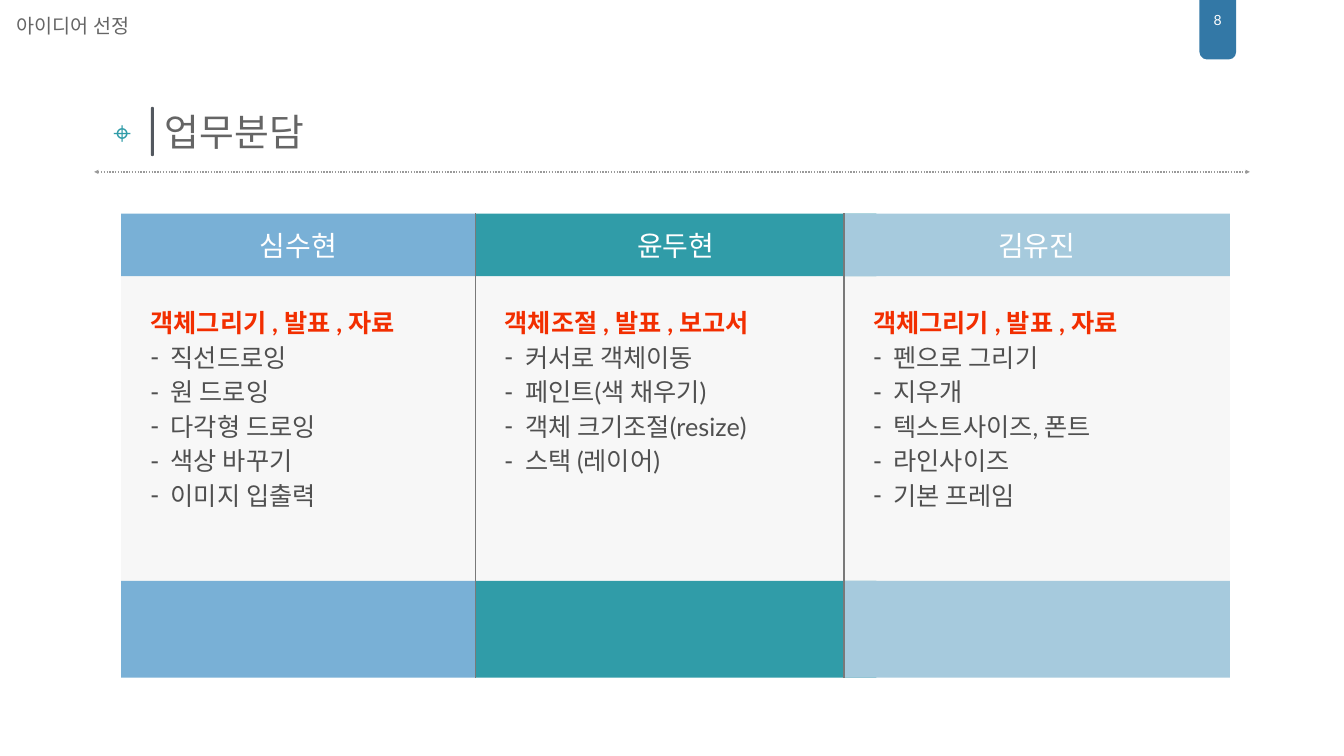
"""Build the task-sharing slide with three member columns."""
import lxml.etree
import pptx
import pptx.dml.color
import pptx.enum.dml
import pptx.enum.shapes
import pptx.enum.text
import pptx.oxml.ns
import pptx.util

Pt = pptx.util.Pt
ALIGN = pptx.enum.text.PP_ALIGN
ANCHOR = pptx.enum.text.MSO_ANCHOR
SHAPE = pptx.enum.shapes.MSO_SHAPE
COLORS = {
    "white": "FFFFFF", "tab": "3378A6", "panel": "F7F7F7", "blue": "79B0D6",
    "teal": "309CA8", "pale": "A6CADD", "duty": "F22E00", "task": "505050",
    "title": "656565", "divider": "797979", "rule": "9A9A9A", "bar": "53585F",
}
BAND_TOP, BAND_HEIGHT = 305, 89.5
FOOTER_TOP, FOOTER_HEIGHT = 830, 138
PANEL_TOP, PANEL_HEIGHT = 307.5, 602
MEMBERS = [
    ("심수현", 173, 506, "blue", "객체그리기 , 발표 , 자료",
     ["직선드로잉", "원 드로잉", "다각형 드로잉", "색상 바꾸기", "이미지 입출력"]),
    ("윤두현", 679, 573, "teal", "객체조절 , 발표 , 보고서",
     ["커서로 객체이동", "페인트(색 채우기)", "객체 크기조절(resize)", "스택 (레이어)"]),
    ("김유진", 1205.5, 551.5, "pale", "객체그리기 , 발표 , 자료",
     ["펜으로 그리기", "지우개", "텍스트사이즈, 폰트", "라인사이즈", "기본 프레임"]),
]


class SlideBuilder:
    """Hold the style and the slide being filled."""

    def __init__(self, slide, font="Lato"):
        self.slide = slide
        self.font = font

    def color(self, name):
        """Return the named colour."""
        return pptx.dml.color.RGBColor.from_string(COLORS[name])

    def place(self, shape, left, top, width, height):
        """Move and size a shape."""
        shape.left, shape.top = Pt(left), Pt(top)
        shape.width, shape.height = Pt(width), Pt(height)

    def format(self, paragraph, size, color, align=ALIGN.LEFT, bold=False, font=None):
        """Format a paragraph and its runs."""
        paragraph.alignment = align
        for run in paragraph.runs:
            run.font.name = font or self.font
            run.font.size = Pt(size)
            run.font.bold = bold
            run.font.color.rgb = self.color(color)

    def frame(self, shape, anchor, left=0, top=0):
        """Set the insets, wrapping and anchor of a text frame."""
        text_frame = shape.text_frame
        text_frame.auto_size = pptx.enum.text.MSO_AUTO_SIZE.NONE
        text_frame.word_wrap = True
        text_frame.vertical_anchor = anchor
        text_frame.margin_left, text_frame.margin_top = Pt(left), Pt(top)
        text_frame.margin_right = text_frame.margin_bottom = 0
        return text_frame

    def bullet(self, paragraph, char=None, indent=0):
        """Give a paragraph a bullet character, or none."""
        properties = paragraph._p.get_or_add_pPr()
        properties.set("marL", str(Pt(indent)))
        properties.set("indent", str(-Pt(indent)))
        tag = pptx.oxml.ns.qn("a:buChar" if char else "a:buNone")
        mark = lxml.etree.SubElement(properties, tag)
        if char:
            mark.set("char", char)

    def heading(self, index, text, box, size):
        """Fill a placeholder with a single line."""
        holder = self.slide.placeholders[index]
        self.place(holder, *box)
        text_frame = self.frame(holder, ANCHOR.MIDDLE)
        text_frame.text = text
        line = text_frame.paragraphs[0]
        line.space_before = Pt(0)
        self.bullet(line)
        self.format(line, size, "title")

    def duties(self, index, box, duty, tasks):
        """Fill a placeholder with a duty line and its dashed tasks."""
        holder = self.slide.placeholders[index]
        self.place(holder, *box)
        holder.fill.solid()
        holder.fill.fore_color.rgb = self.color("panel")
        text_frame = self.frame(holder, ANCHOR.TOP, left=42, top=132)
        text_frame.text = "\n".join([duty, *tasks])
        lead, *items = text_frame.paragraphs
        lead.space_before = Pt(0)
        self.bullet(lead)
        self.format(lead, 36, "duty", bold=True)
        for item in items:
            item.space_before = Pt(6)
            self.bullet(item, "-", 29)
            self.format(item, 36, "task")

    def block(self, kind, box, fill, text="", corner=None):
        """Add a filled shape, with centred text if given."""
        shape = self.slide.shapes.add_shape(kind, *map(Pt, box))
        shape.shadow.inherit = False
        shape.fill.solid()
        shape.fill.fore_color.rgb = self.color(fill)
        shape.line.fill.background()
        if corner is not None:
            shape.adjustments[0] = corner
        if text:
            text_frame = self.frame(shape, ANCHOR.MIDDLE)
            text_frame.text = text
            self.format(text_frame.paragraphs[0], 40, "white", ALIGN.CENTER)

    def label(self, text, box, size, color, font=None):
        """Add a centred text box."""
        text_frame = self.frame(self.slide.shapes.add_textbox(*map(Pt, box)), ANCHOR.MIDDLE)
        text_frame.text = text
        self.format(text_frame.paragraphs[0], size, color, ALIGN.CENTER, font=font)

    def line(self, start, end, color, arrows=False):
        """Add a straight line, dotted with two arrowheads if asked."""
        straight = pptx.enum.shapes.MSO_CONNECTOR.STRAIGHT
        connector = self.slide.shapes.add_connector(straight, *map(Pt, start + end))
        connector.line.color.rgb = self.color(color)
        connector.line.width = Pt(2)
        properties = connector._element.spPr
        lxml.etree.SubElement(properties, pptx.oxml.ns.qn("a:effectLst"))
        if arrows:
            connector.line.dash_style = pptx.enum.dml.MSO_LINE.ROUND_DOT
            outline = properties.find(pptx.oxml.ns.qn("a:ln"))
            for tag in ("a:headEnd", "a:tailEnd"):
                lxml.etree.SubElement(outline, pptx.oxml.ns.qn(tag), type="triangle")


def main():
    """Create the presentation and save it."""
    presentation = pptx.Presentation()
    presentation.slide_width, presentation.slide_height = Pt(1920), Pt(1080)
    builder = SlideBuilder(presentation.slides.add_slide(presentation.slide_layouts[4]))

    builder.block(SHAPE.ROUNDED_RECTANGLE, (1713.5, -15, 52.5, 100), "tab", corner=0.21)
    builder.label("8", (1722, 17, 35.5, 24), 20, "white")
    builder.heading(4, "아이디어 선정", (24, 19.5, 481, 34), 28)
    builder.heading(0, "업무분담", (235.5, 155, 481, 65.5), 54)
    builder.label("⌖", (145, 156, 59, 66), 45, "teal", "Calibri")
    builder.block(SHAPE.ROUNDED_RECTANGLE, (215.5, 152.5, 4.5, 70.5), "bar", corner=0.5)
    builder.line((134.5, 245.5), (1785.5, 245.5), "rule", arrows=True)

    for index, (name, left, width, color, duty, tasks) in enumerate(MEMBERS, 1):
        builder.duties(index, (left, PANEL_TOP, width, PANEL_HEIGHT), duty, tasks)
        builder.block(SHAPE.RECTANGLE, (left, BAND_TOP, width, BAND_HEIGHT), color, name)
        builder.block(SHAPE.RECTANGLE, (left, FOOTER_TOP, width, FOOTER_HEIGHT), color)
    for _, left, *_ in MEMBERS[1:]:
        builder.line((left, BAND_TOP), (left, FOOTER_TOP + FOOTER_HEIGHT), "divider")

    presentation.save("out.pptx")


if __name__ == "__main__":
    main()
